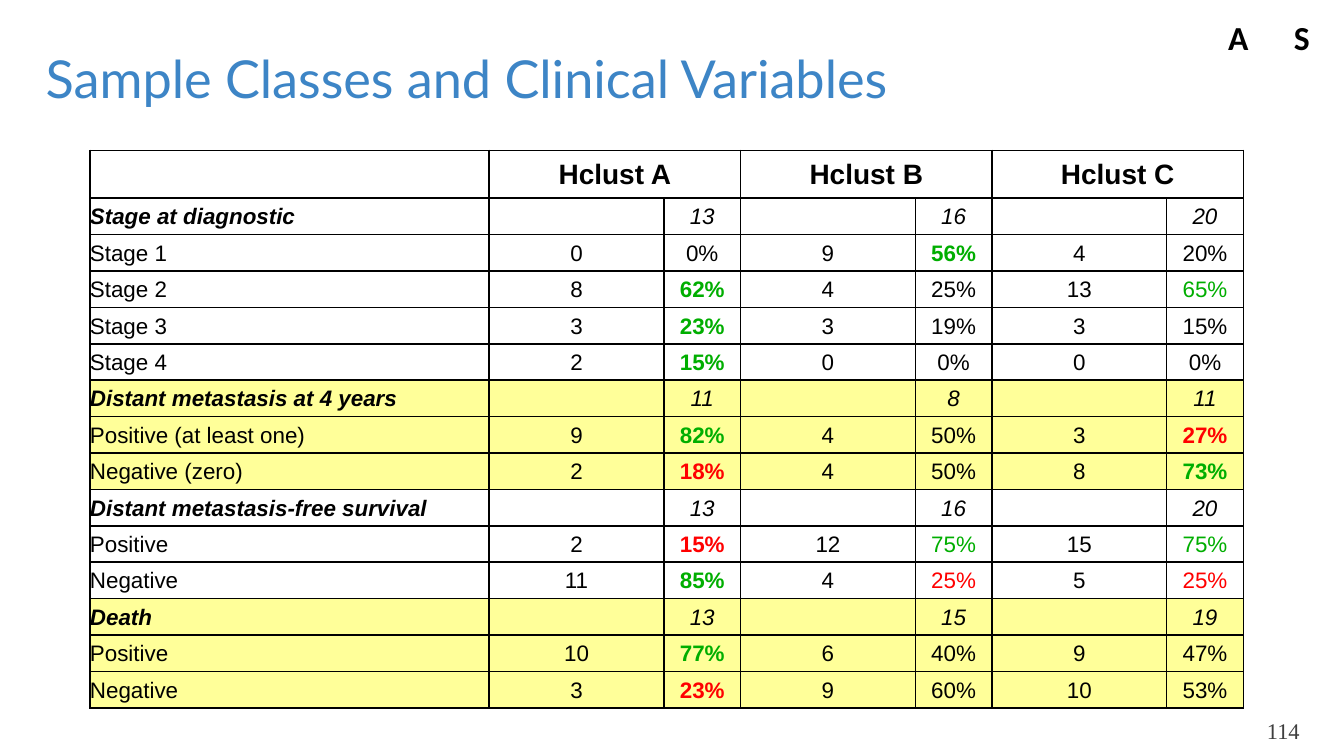
from dataclasses import dataclass

from lxml.etree import SubElement
from pptx import Presentation
from pptx.dml.color import RGBColor as Color
from pptx.enum.text import MSO_ANCHOR as Anchor, MSO_AUTO_SIZE as AutoSize, PP_ALIGN as Align
from pptx.oxml.ns import qn
from pptx.util import Pt


@dataclass(frozen=True)
class Theme:
    black: str = "000000"
    white: str = "FFFFFF"
    yellow: str = "FFFF99"
    blue: str = "3D85C6"
    grey: str = "3F3F3F"
    green: str = "00AE00"
    red: str = "FF0000"
    title_size: float = 28
    letter_size: float = 18
    header_size: float = 15
    body_size: float = 12
    title_font: str = "Lato"
    table_font: str = "Arial"
    letter_font: str = "Calibri"
    number_font: str = "Times New Roman"


THEME = Theme()

# A mark after a value gives its colour; capital marks are also bold
MARKS = {
    "G": dict(color=THEME.green, bold=True),
    "g": dict(color=THEME.green),
    "R": dict(color=THEME.red, bold=True),
    "r": dict(color=THEME.red),
}
CLUSTERS = ["Hclust A", "Hclust B", "Hclust C"]
# Each group: heading, fill, totals per cluster, rows of count and share
GROUPS = [
    ("Stage at diagnostic", THEME.white, ["13", "16", "20"], [
        ["Stage 1", "0", "0%", "9", "56% G", "4", "20%"],
        ["Stage 2", "8", "62% G", "4", "25%", "13", "65% g"],
        ["Stage 3", "3", "23% G", "3", "19%", "3", "15%"],
        ["Stage 4", "2", "15% G", "0", "0%", "0", "0%"],
    ]),
    ("Distant metastasis at 4 years", THEME.yellow, ["11", "8", "11"], [
        ["Positive (at least one)", "9", "82% G", "4", "50%", "3", "27% R"],
        ["Negative (zero)", "2", "18% R", "4", "50%", "8", "73% G"],
    ]),
    ("Distant metastasis-free survival", THEME.white, ["13", "16", "20"], [
        ["Positive", "2", "15% R", "12", "75% g", "15", "75% g"],
        ["Negative", "11", "85% G", "4", "25% r", "5", "25% r"],
    ]),
    ("Death", THEME.yellow, ["13", "15", "19"], [
        ["Positive", "10", "77% G", "6", "40%", "9", "47%"],
        ["Negative", "3", "23% R", "9", "60%", "10", "53%"],
    ]),
]


def write(frame, text, *, font, size, color=THEME.black, bold=False, italic=False,
          align=Align.LEFT, spacing=1.0):
    para = frame.paragraphs[0]
    para.alignment = align
    para.line_spacing = spacing
    if not text:
        # Keeps an empty cell as low as its row
        SubElement(para._p, qn("a:endParaRPr"), sz=str(int(size * 100)))
        return
    span = para.add_run()
    span.text = text
    span.font.name, span.font.size = font, Pt(size)
    span.font.bold, span.font.italic = bold, italic
    span.font.color.rgb = Color.from_string(color)


def set_frame(frame, anchor, left=7.2, top=3.6, right=7.2, bottom=3.6):
    frame.word_wrap = True
    frame.auto_size = AutoSize.NONE
    frame.vertical_anchor = anchor
    frame.margin_left, frame.margin_top = Pt(left), Pt(top)
    frame.margin_right, frame.margin_bottom = Pt(right), Pt(bottom)


def add_title(page, box, text):
    title = page.shapes.title
    title.left, title.top, title.width, title.height = map(Pt, box)
    set_frame(title.text_frame, Anchor.MIDDLE, right=3.6)
    write(title.text_frame, text, font=THEME.title_font, size=THEME.title_size,
          color=THEME.blue)


def add_label(page, box, text, anchor=Anchor.TOP, bottom=3.6, **style):
    frame = page.shapes.add_textbox(*map(Pt, box)).text_frame
    set_frame(frame, anchor, bottom=bottom)
    write(frame, text, spacing=0.93, **style)


def add_corner_letters(page, box, letters):
    left, top, width, height = box
    letter_width = 28
    step = (width - letter_width) / (len(letters) - 1)
    for index, letter in enumerate(letters):
        add_label(page, (left + index * step, top, letter_width, height), letter,
                  font=THEME.letter_font, size=THEME.letter_size, bold=True,
                  align=Align.CENTER)


def fill_cell(cell, text, fill, size=THEME.body_size, **style):
    cell.margin_left = cell.margin_right = 0
    cell.margin_top = cell.margin_bottom = Pt(2.4)
    cell.vertical_anchor = Anchor.MIDDLE
    # Borders come before the fill in the cell properties
    properties = cell._tc.get_or_add_tcPr()
    for side in ("lnL", "lnR", "lnT", "lnB"):
        line = SubElement(properties, qn(f"a:{side}"), w=str(Pt(1)))
        SubElement(SubElement(line, qn("a:solidFill")), qn("a:srgbClr"), val=THEME.black)
    cell.fill.solid()
    cell.fill.fore_color.rgb = Color.from_string(fill)
    write(cell.text_frame, text, font=THEME.table_font, size=size, spacing=1.05, **style)


def table_rows():
    """Yield the fill, texts and heading flag of each row below the header."""
    for heading, fill, totals, rows in GROUPS:
        yield fill, [heading] + [text for total in totals for text in ("", total)], True
        for row in rows:
            yield fill, row, False


def add_clinical_table(page, box):
    left, top, width, height = box
    rows = list(table_rows())
    count_width, share_width, header_height = 93.6, 41.1, 25.6
    pairs = [count_width, share_width] * len(CLUSTERS)
    widths = [width - sum(pairs)] + pairs
    table = page.shapes.add_table(len(rows) + 1, len(widths), *map(Pt, box)).table
    table.first_row = table.horz_banding = False
    for column, column_width in zip(table.columns, widths):
        column.width = Pt(column_width)
    for row in table.rows:
        row.height = Pt((height - header_height) / len(rows))
    table.rows[0].height = Pt(header_height)

    # Header: each cluster name spans its count and share columns
    header = [""] + [text for name in CLUSTERS for text in (name, "")]
    for column, text in enumerate(header):
        fill_cell(table.cell(0, column), text, THEME.white, size=THEME.header_size,
                  bold=True, align=Align.CENTER)
    for column in range(1, len(widths), 2):
        table.cell(0, column).merge(table.cell(0, column + 1))

    # Body
    for index, (fill, texts, is_heading) in enumerate(rows, 1):
        for column, text in enumerate(texts):
            style = dict(italic=is_heading, bold=is_heading and column == 0)
            if column:
                style["align"] = Align.CENTER
                text, _, mark = text.partition(" ")
                style.update(MARKS.get(mark, {}))
            fill_cell(table.cell(index, column), text, fill, **style)


def main():
    deck = Presentation()
    deck.slide_width, deck.slide_height = Pt(720), Pt(405)
    page = deck.slides.add_slide(deck.slide_layouts[5])
    add_title(page, (17.3, 15.1, 702.7, 52.6), "Sample Classes and Clinical Variables")
    add_label(page, (645.8, 382.3, 57.6, 16.6), "114", anchor=Anchor.BOTTOM, bottom=0,
              font=THEME.number_font, size=THEME.body_size, color=THEME.grey,
              align=Align.RIGHT)
    add_clinical_table(page, (48.2, 80.6, 618, 299))
    add_corner_letters(page, (649.4, 7.2, 62, 20.9), "AS")
    deck.save("out.pptx")


if __name__ == "__main__":
    main()
